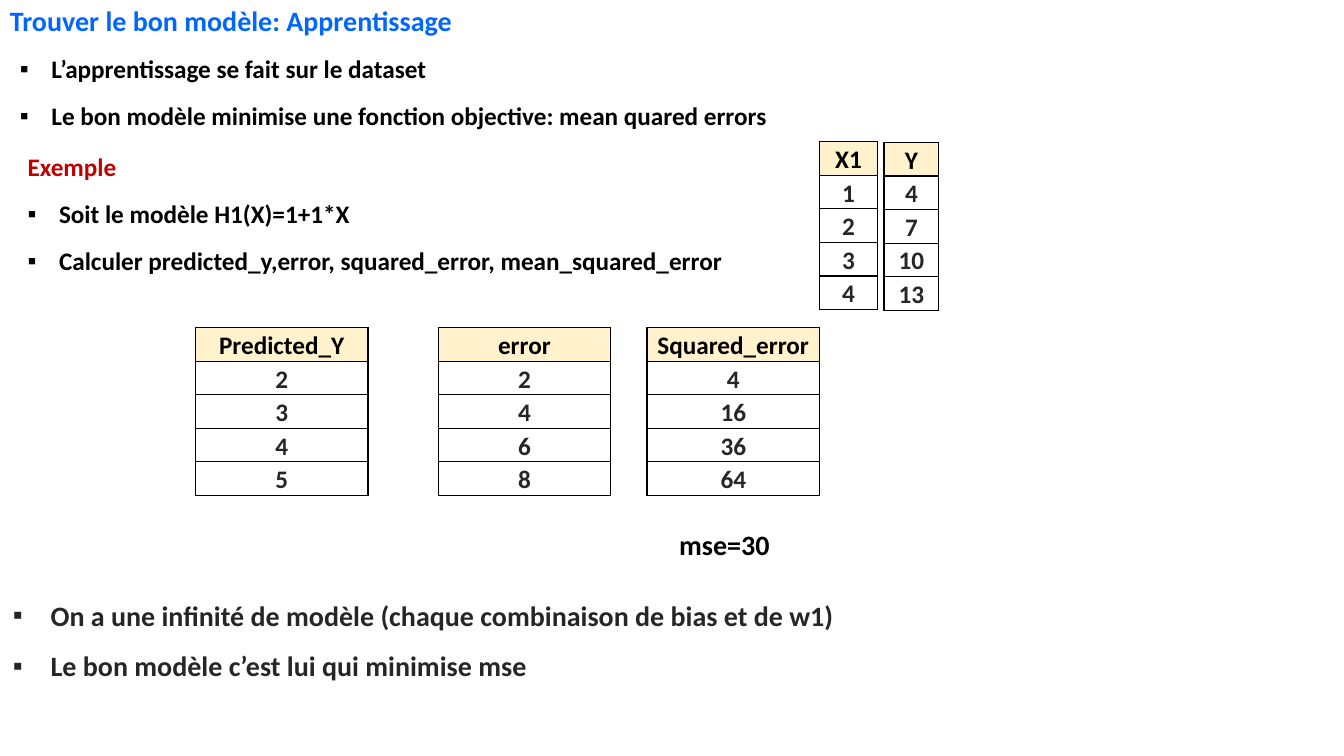
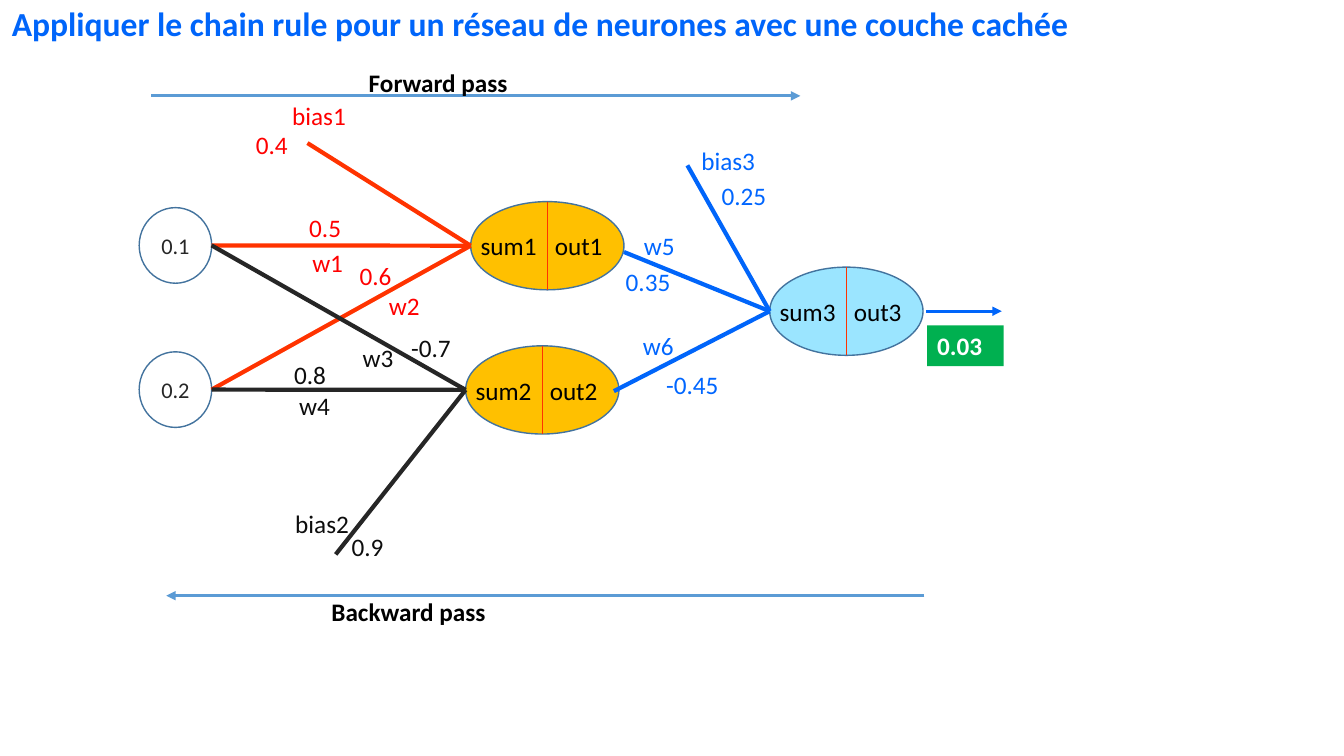
from lxml import etree
from pptx import Presentation
from pptx.dml.color import RGBColor
from pptx.enum import shapes, text
from pptx.oxml import ns
from pptx.util import Pt

FONT = "Calibri"
BLACK, DARK, INK, WHITE = "000000", "262626", "0D0D0D", "FFFFFF"
BLUE, EDGE_BLUE, ARROW_BLUE, OUTLINE = "0066FF", "0065FA", "5B9BD5", "43739E"
RED, EDGE_RED, DEEP_RED = "FF0000", "FF3300", "C00000"
ORANGE, SKY, GREEN, CREAM = "FFC000", "9BE5FF", "00B050", "FFF2CC"
ROW_HEIGHT = 24
LABEL_SIZE = (56, 28.8)
NEURON_SIZE = (109.5, 63)
INPUT_SIZE = (51.8, 54)


def rgb(value):
    return RGBColor.from_string(value)


def add_xml(parent, tag, **attributes):
    return etree.SubElement(parent, ns.qn(tag), attributes)


def add_span(para, words, size, colour, bold=False):
    span = para.add_run()
    span.text = words
    span.font.name = FONT
    span.font.size = Pt(size)
    span.font.bold = bold
    span.font.color.rgb = rgb(colour)


def set_bullet(para, indent):
    properties = para._p.get_or_add_pPr()
    properties.set("marL", str(Pt(indent)))
    properties.set("indent", str(-Pt(indent)))
    add_xml(properties, "a:buFont", typeface="Arial")
    add_xml(properties, "a:buChar", char="▪")


def add_frame(page, left, top, width, height):
    box = page.shapes.add_textbox(Pt(left), Pt(top), Pt(width), Pt(height))
    box.text_frame.word_wrap = True
    return box.text_frame


def add_label(page, words, left, top, width, height, size=18, colour=BLACK, bold=False):
    frame = add_frame(page, left, top, width, height)
    add_span(frame.paragraphs[0], words, size, colour, bold)


def add_title(page, words, left, top, size, colour):
    add_label(page, words, left, top, 840, size * 1.2 + 8, size, colour, True)


def add_list(page, items, left, top, width, height, size, colour, indent, heading=None):
    """Bold bulleted lines, with an optional red heading above them."""
    frame = add_frame(page, left, top, width, height)
    lines = ([heading] if heading else []) + items
    for number, words in enumerate(lines):
        para = frame.add_paragraph() if number else frame.paragraphs[0]
        is_heading = words == heading
        if not is_heading:
            set_bullet(para, indent)
        para.space_after = Pt(12)
        add_span(para, words, size, DEEP_RED if is_heading else colour, True)


def add_border(cell):
    properties = cell._tc.get_or_add_tcPr()
    for side in ("a:lnL", "a:lnR", "a:lnT", "a:lnB"):
        line = add_xml(properties, side, w=str(Pt(1)))
        add_xml(add_xml(line, "a:solidFill"), "a:srgbClr", val=BLACK)


def add_column(page, header, values, left, top, width):
    """A one-column table with a cream header cell."""
    entries = [header, *values]
    table = page.shapes.add_table(len(entries), 1, Pt(left), Pt(top), Pt(width),
                                  Pt(ROW_HEIGHT * len(entries))).table
    table.first_row = table.horz_banding = False
    for number, entry in enumerate(entries):
        cell = table.cell(number, 0)
        add_border(cell)
        if number:
            cell.fill.background()
        else:
            cell.fill.solid()
            cell.fill.fore_color.rgb = rgb(CREAM)
        cell.margin_left = cell.margin_right = cell.margin_top = Pt(0.7)
        cell.margin_bottom = 0
        cell.vertical_anchor = text.MSO_ANCHOR.BOTTOM
        para = cell.text_frame.paragraphs[0]
        para.alignment = text.PP_ALIGN.CENTER
        add_span(para, str(entry), 18, DARK if number else BLACK, True)


def add_line(page, start, end, colour, width, arrow=False):
    line = page.shapes.add_connector(shapes.MSO_CONNECTOR.STRAIGHT,
                                     *map(Pt, (*start, *end)))
    line.line.color.rgb = rgb(colour)
    line.line.width = Pt(width)
    if arrow:
        add_xml(line.line._get_or_add_ln(), "a:tailEnd", type="triangle")
    add_xml(line._element.spPr, "a:effectLst")


def add_shape(page, kind, left, top, width, height, fill=None, outline=None):
    shape = page.shapes.add_shape(kind, Pt(left), Pt(top), Pt(width), Pt(height))
    shape.shadow.inherit = False
    if fill:
        shape.fill.solid()
        shape.fill.fore_color.rgb = rgb(fill)
    else:
        shape.fill.background()
    if outline:
        shape.line.color.rgb = rgb(outline)
        shape.line.width = Pt(1)
    else:
        shape.line.fill.background()
    return shape


def add_input(page, value, left, top):
    """An input circle; returns the point on its right."""
    width, height = INPUT_SIZE
    circle = add_shape(page, shapes.MSO_SHAPE.OVAL, left, top, width, height,
                       outline=OUTLINE)
    para = circle.text_frame.paragraphs[0]
    para.alignment = text.PP_ALIGN.CENTER
    add_span(para, value, 16, DARK)
    return left + width, top + height / 2


def add_neuron(page, number, left, top, fill):
    """A sum | out ellipse; returns the points on its left and right."""
    width, height = NEURON_SIZE
    add_shape(page, shapes.MSO_SHAPE.OVAL, left, top, width, height, fill, OUTLINE)
    middle = left + width / 2
    add_line(page, (middle, top), (middle, top + height), EDGE_RED, 0.5)
    for name, offset in (("sum", 0), ("out", 53)):
        add_label(page, f"{name}{number}", left + offset, top + 17.3, 60, 28.8)
    return (left, top + height / 2), (left + width, top + height / 2)


def add_network(page, left, top):
    first = add_input(page, "0.1", left, top + 4.3)
    second = add_input(page, "0.2", left, top + 107.3)
    hidden1, hidden1_out = add_neuron(page, 1, left + 236.8, top, ORANGE)
    hidden2, hidden2_out = add_neuron(page, 2, left + 233.2, top + 103, ORANGE)
    final, final_out = add_neuron(page, 3, left + 450.4, top + 46.8, SKY)
    bias1 = left + 120.2, top - 41.8
    bias2 = left + 140.4, top + 252
    bias3 = left + 391.6, top - 25.9
    w5_start = hidden1_out[0], hidden1_out[1] + 4.5
    w6_start = hidden2_out[0] - 3.6, hidden2_out[1] + 0.9

    for colour, target, sources in (
        (EDGE_RED, hidden1, (first, second, bias1)),
        (DARK, hidden2, (second, first, bias2)),
        (EDGE_BLUE, final, (w5_start, w6_start, bias3)),
    ):
        for source in sources:
            add_line(page, source, target, colour, 3)

    for colour, labels in (
        (RED, (("bias1", 102.2, -75.6), ("0.4", 76.3, -55.4), ("0.5", 114.4, 4.3),
               ("w1", 116.6, 28.8), ("0.6", 150.4, 38.2), ("w2", 171.3, 59.8))),
        (INK, (("w3", 152.6, 97.2), ("-0.7", 187.2, 90), ("0.8", 103.6, 109.4),
               ("w4", 107.2, 131), ("bias2", 104.4, 215.3), ("0.9", 144.7, 231.8))),
        (BLUE, (("bias3", 394.5, -43.9), ("0.25", 408.9, -18.7), ("w5", 353.5, 17.3),
                ("0.35", 340.5, 42.5), ("w6", 352.8, 88.6), ("-0.45", 369.3, 116.6))),
    ):
        for words, dx, dy in labels:
            add_label(page, words, left + dx, top + dy, *LABEL_SIZE, colour=colour)

    x, y = final_out
    add_line(page, (x + 2.3, y), (x + 56.3, y), EDGE_BLUE, 2.25, arrow=True)
    result = add_shape(page, shapes.MSO_SHAPE.RECTANGLE, x + 3, y + 10.2, 54.7, 29, GREEN)
    para = result.text_frame.paragraphs[0]
    para.alignment = text.PP_ALIGN.LEFT
    add_span(para, "0.03", 18, WHITE, True)


def add_pass(page, words, start, end, label_left, label_top):
    add_line(page, start, end, ARROW_BLUE, 2.25, arrow=True)
    add_label(page, words, label_left, label_top, 240, 28.8, bold=True)


def build_learning(page):
    add_title(page, "Trouver le bon modèle: Apprentissage", 0, -0.7, 20, BLUE)
    add_list(page, ["L’apprentissage se fait sur le dataset",
                    "Le bon modèle minimise une fonction objective: mean quared errors"],
             7.2, 34.6, 612, 63, 18, BLACK, 22.5)
    add_list(page, ["Soit le modèle H1(X)=1+1*X",
                    "Calculer predicted_y,error, squared_error, mean_squared_error"],
             12.6, 104.6, 612, 97, 18, BLACK, 22.5, heading="Exemple")
    for header, values, left, top, width in (
        ("X1", (1, 2, 3, 4), 585.3, 101.2, 41.6),
        ("Y", (4, 7, 10, 13), 631.5, 101.7, 39),
        ("Predicted_Y", (2, 3, 4, 5), 139.6, 234, 123.2),
        ("error", (2, 4, 6, 8), 313, 234, 123.2),
        ("Squared_error", (4, 16, 36, 64), 462.2, 234, 123.2),
    ):
        add_column(page, header, values, left, top, width)
    add_label(page, "mse=30", 478, 373, 141, 31.5, 20, bold=True)
    add_list(page, ["On a une infinité de modèle (chaque combinaison de bias et de w1)",
                    "Le bon modèle c’est lui qui minimise mse"],
             2.1, 424, 645, 68, 20, DARK, 27)


def build_chain_rule(page):
    add_title(page, "Appliquer le chain rule pour un réseau de neurones "
              "avec une couche cachée", 1.4, -1.4, 24, EDGE_BLUE)
    add_network(page, 99.4, 144)
    add_pass(page, "Forward pass", (108, 68.5), (571.7, 68.5), 256.3, 44.6)
    add_pass(page, "Backward pass", (660.2, 425.5), (118.8, 425.5), 229.7, 422.6)


def main():
    deck = Presentation()
    deck.slide_width, deck.slide_height = Pt(960), Pt(540)
    for build in (build_learning, build_chain_rule):
        build(deck.slides.add_slide(deck.slide_layouts[6]))
    deck.save("out.pptx")


if __name__ == "__main__":
    main()
